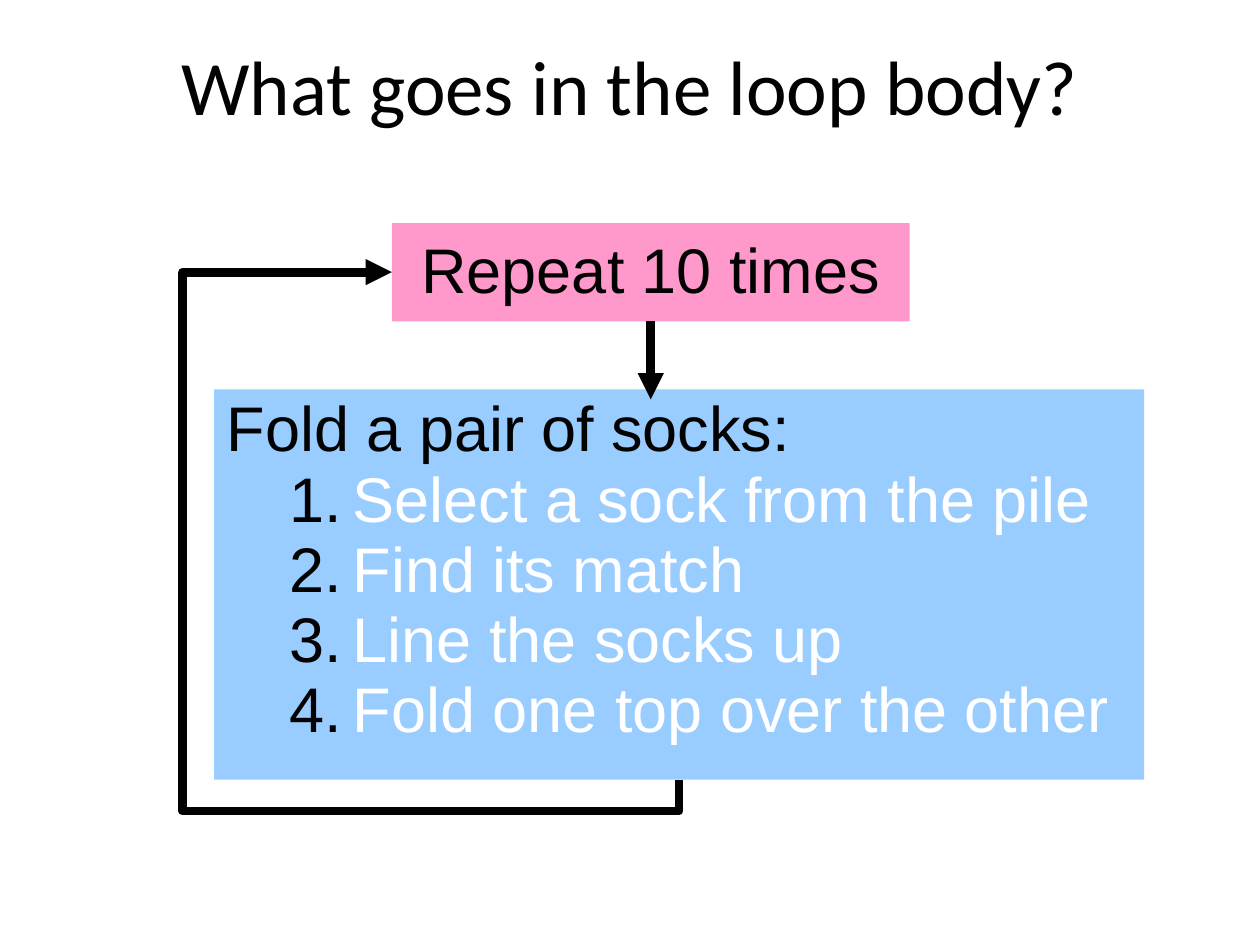
from lxml.etree import SubElement
from pptx import Presentation
from pptx.dml.color import RGBColor
from pptx.enum.shapes import MSO_CONNECTOR, MSO_SHAPE
from pptx.enum.text import MSO_ANCHOR, PP_ALIGN
from pptx.oxml.ns import qn
from pptx.util import Inches, Pt

COLOURS = {"ink": "020202", "step": "FFFFFF", "loop": "FF99CC", "body": "99CCFF"}
STEPS = ["Select a sock from the pile", "Find its match",
         "Line the socks up", "Fold one top over the other"]
WIDTH, HEIGHT = Inches(10), Inches(7.5)
TOP, LEFT, BOTTOM = 0, 1, 2  # connection sites of a rectangle


def colour(name):
    return RGBColor.from_string(COLOURS[name])


def area(left, top, width, height):
    """Turn shares of the slide's size into lengths."""
    return (int(WIDTH * left), int(HEIGHT * top),
            int(WIDTH * width), int(HEIGHT * height))


def write(para, text, ink="ink", size=36, font="Arial", spacing=0.93):
    para.line_spacing = spacing
    span = para.add_run()
    span.text = text
    span.font.size = Pt(size)
    span.font.name = font
    span.font.color.rgb = colour(ink)


def number(para):
    """Give a paragraph a hanging number in the ink colour."""
    para.level = 1
    properties = para._p.get_or_add_pPr()
    properties.set("marL", str(Inches(1)))
    properties.set("indent", str(Inches(-0.5)))
    bullet_colour = SubElement(properties, qn("a:buClr"))
    SubElement(bullet_colour, qn("a:srgbClr"), val=COLOURS["ink"])
    SubElement(properties, qn("a:buFont"), typeface="Arial")
    SubElement(properties, qn("a:buAutoNum"), type="arabicPeriod")


def add_title(page, text):
    box = page.shapes.add_textbox(*area(0.025, 0.011, 0.95, 0.155))
    frame = box.text_frame
    frame.word_wrap = True
    frame.vertical_anchor = MSO_ANCHOR.MIDDLE
    para = frame.paragraphs[0]
    para.alignment = PP_ALIGN.CENTER
    write(para, text, size=44, font="Calibri", spacing=1.02)


def add_block(page, place, fill, text, anchor, alignment):
    block = page.shapes.add_shape(MSO_SHAPE.RECTANGLE, *place)
    block.shadow.inherit = False
    block.fill.solid()
    block.fill.fore_color.rgb = colour(fill)
    block.line.fill.background()
    frame = block.text_frame
    frame.word_wrap = False
    frame.vertical_anchor = anchor
    para = frame.paragraphs[0]
    para.alignment = alignment
    write(para, text)
    return block


def add_steps(block, steps):
    for step in steps:
        para = block.text_frame.add_paragraph()
        para.alignment = PP_ALIGN.LEFT
        number(para)
        write(para, step, "step")


def add_arrow(page, kind, start, end):
    arrow = page.shapes.add_connector(kind, *start, *end)
    arrow.line.color.rgb = colour("ink")
    arrow.line.width = Pt(5)
    SubElement(arrow.line._get_or_add_ln(), qn("a:tailEnd"), type="triangle")
    SubElement(arrow._element.spPr, qn("a:effectLst"))
    return arrow


def add_return_arrow(page, body, loop):
    """Lead from under the body, round its left side, back to the loop."""
    start = (body.left + body.width // 2, body.top + body.height)
    end = (loop.left, loop.top + loop.height // 2)
    arrow = add_arrow(page, MSO_CONNECTOR.ELBOW, start, end)
    arrow.begin_connect(body, BOTTOM)
    arrow.end_connect(loop, LEFT)

    # Four-part route: a quarter turn swaps the frame's width and height
    across, up = start[0] - end[0], start[1] - end[1]
    arrow.left = (start[0] + end[0] - up) // 2
    arrow.top = (start[1] + end[1] - across) // 2
    arrow.width, arrow.height = up, across
    frame = arrow._element.spPr.find(qn("a:xfrm"))
    frame.attrib.pop("flipV", None)
    frame.set("rot", "5400000")
    frame.set("flipH", "1")
    geometry = arrow._element.spPr.find(qn("a:prstGeom"))
    geometry.set("prst", "bentConnector4")
    guides = geometry.find(qn("a:avLst"))
    if guides is None:
        guides = SubElement(geometry, qn("a:avLst"))
    drop, reach = Inches(0.25), start[0] - Inches(1.45)
    for name, share in (("adj1", -drop / up), ("adj2", reach / across)):
        SubElement(guides, qn("a:gd"), name=name, fmla=f"val {round(share * 100000)}")


def main():
    deck = Presentation()
    deck.slide_width, deck.slide_height = WIDTH, HEIGHT
    page = deck.slides.add_slide(deck.slide_layouts[6])

    add_title(page, "What goes in the loop body?")

    # Loop body and loop head
    body = add_block(page, area(0.17, 0.412, 0.738, 0.413), "body",
                     "Fold a pair of socks:", MSO_ANCHOR.TOP, PP_ALIGN.LEFT)
    add_steps(body, STEPS)
    loop = add_block(page, area(0.311, 0.236, 0.411, 0.104), "loop",
                     "Repeat 10 times", MSO_ANCHOR.MIDDLE, PP_ALIGN.CENTER)

    # Arrow into the body, and the way back
    middle = loop.left + loop.width // 2
    down = add_arrow(page, MSO_CONNECTOR.STRAIGHT,
                     (middle, loop.top + loop.height), (middle, Inches(3.17)))
    down.begin_connect(loop, BOTTOM)
    add_return_arrow(page, body, loop)

    deck.save("out.pptx")


if __name__ == "__main__":
    main()
